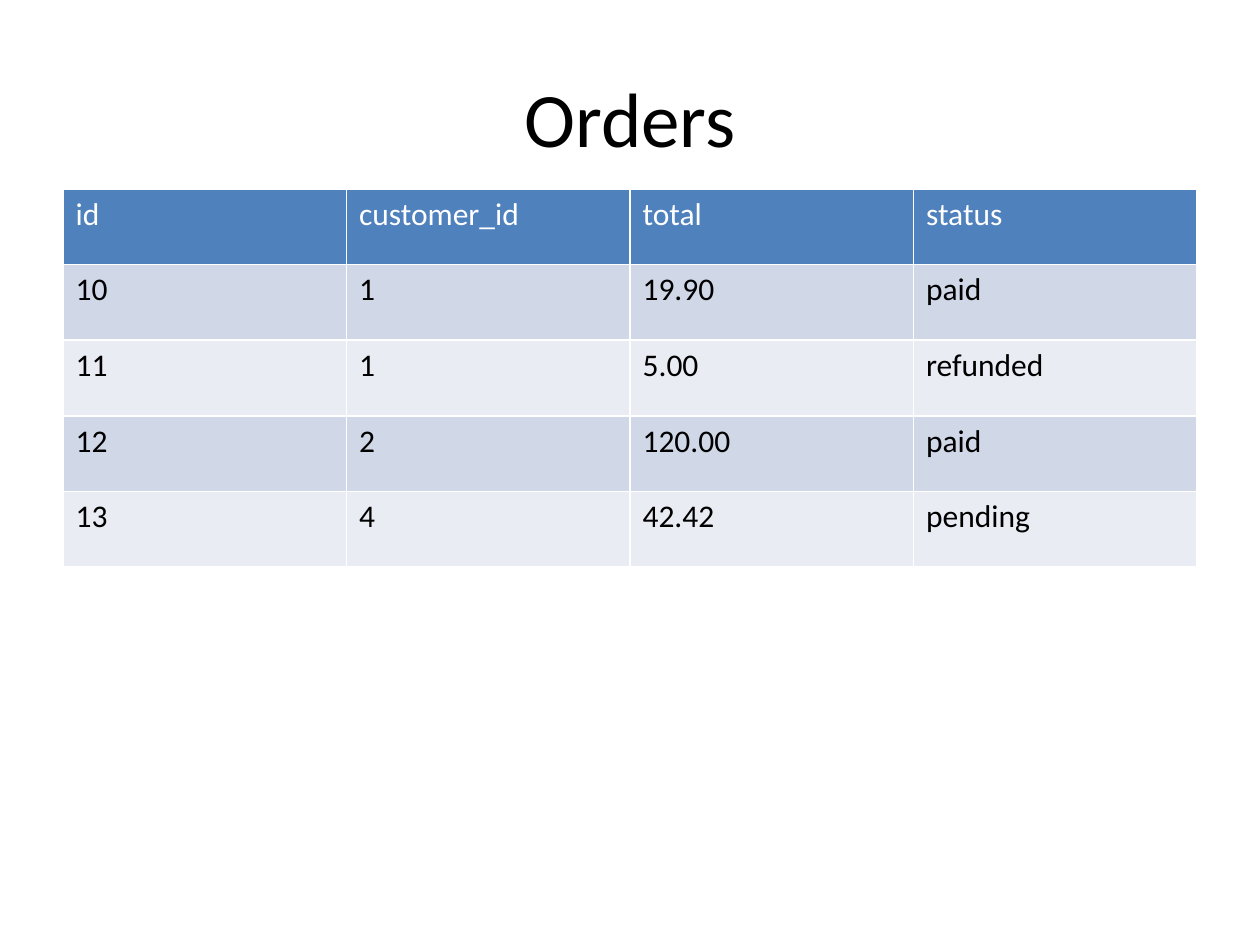
"""Build the Orders slide with a title and a table of orders."""
import pptx
import pptx.dml.color
import pptx.enum.text
import pptx.oxml.ns
import pptx.util
from lxml import etree

Inches = pptx.util.Inches
RGBColor = pptx.dml.color.RGBColor

TITLE = "Orders"
ROWS = [
    ("id", "customer_id", "total", "status"),
    ("10", "1", "19.90", "paid"),
    ("11", "1", "5.00", "refunded"),
    ("12", "2", "120.00", "paid"),
    ("13", "4", "42.42", "pending"),
]

FONT = "Calibri"
BLACK = RGBColor(0x00, 0x00, 0x00)
WHITE = RGBColor(0xFF, 0xFF, 0xFF)
HEADER_FILL = RGBColor(0x4F, 0x81, 0xBD)
BAND_FILLS = (RGBColor(0xE9, 0xEC, 0xF3), RGBColor(0xD0, 0xD8, 0xE7))
BORDER_WIDTH = pptx.util.Pt(0.96)


def add_run(paragraph, text, size, color):
    run = paragraph.add_run()
    run.text = text
    run.font.name = FONT
    run.font.size = pptx.util.Pt(size)
    run.font.bold = False
    run.font.color.rgb = color


def add_borders(cell):
    properties = cell._tc.get_or_add_tcPr()
    for side in ("lnL", "lnR", "lnT", "lnB"):
        line = etree.SubElement(properties, pptx.oxml.ns.qn(f"a:{side}"), w=str(BORDER_WIDTH))
        fill = etree.SubElement(line, pptx.oxml.ns.qn("a:solidFill"))
        etree.SubElement(fill, pptx.oxml.ns.qn("a:srgbClr"), val=str(WHITE))


def add_title(slide):
    shape = slide.shapes.add_textbox(Inches(0.5), Inches(0.3), Inches(9), Inches(1.25))
    frame = shape.text_frame
    frame.word_wrap = True
    frame.vertical_anchor = pptx.enum.text.MSO_ANCHOR.MIDDLE
    paragraph = frame.paragraphs[0]
    paragraph.alignment = pptx.enum.text.PP_ALIGN.CENTER
    add_run(paragraph, TITLE, 44, BLACK)


def add_orders(slide):
    table = slide.shapes.add_table(
        len(ROWS), len(ROWS[0]), Inches(0.5), Inches(1.5), Inches(9), Inches(3)
    ).table
    for row_index, row in enumerate(ROWS):
        is_header = row_index == 0
        for column_index, text in enumerate(row):
            cell = table.cell(row_index, column_index)
            add_borders(cell)
            cell.fill.solid()
            cell.fill.fore_color.rgb = HEADER_FILL if is_header else BAND_FILLS[row_index % 2]
            add_run(cell.text_frame.paragraphs[0], text, 18, WHITE if is_header else BLACK)


def main():
    presentation = pptx.Presentation()
    presentation.slide_width = Inches(10)
    presentation.slide_height = Inches(7.5)
    slide = presentation.slides.add_slide(presentation.slide_layouts[6])
    add_title(slide)
    add_orders(slide)
    presentation.save("out.pptx")


if __name__ == "__main__":
    main()
